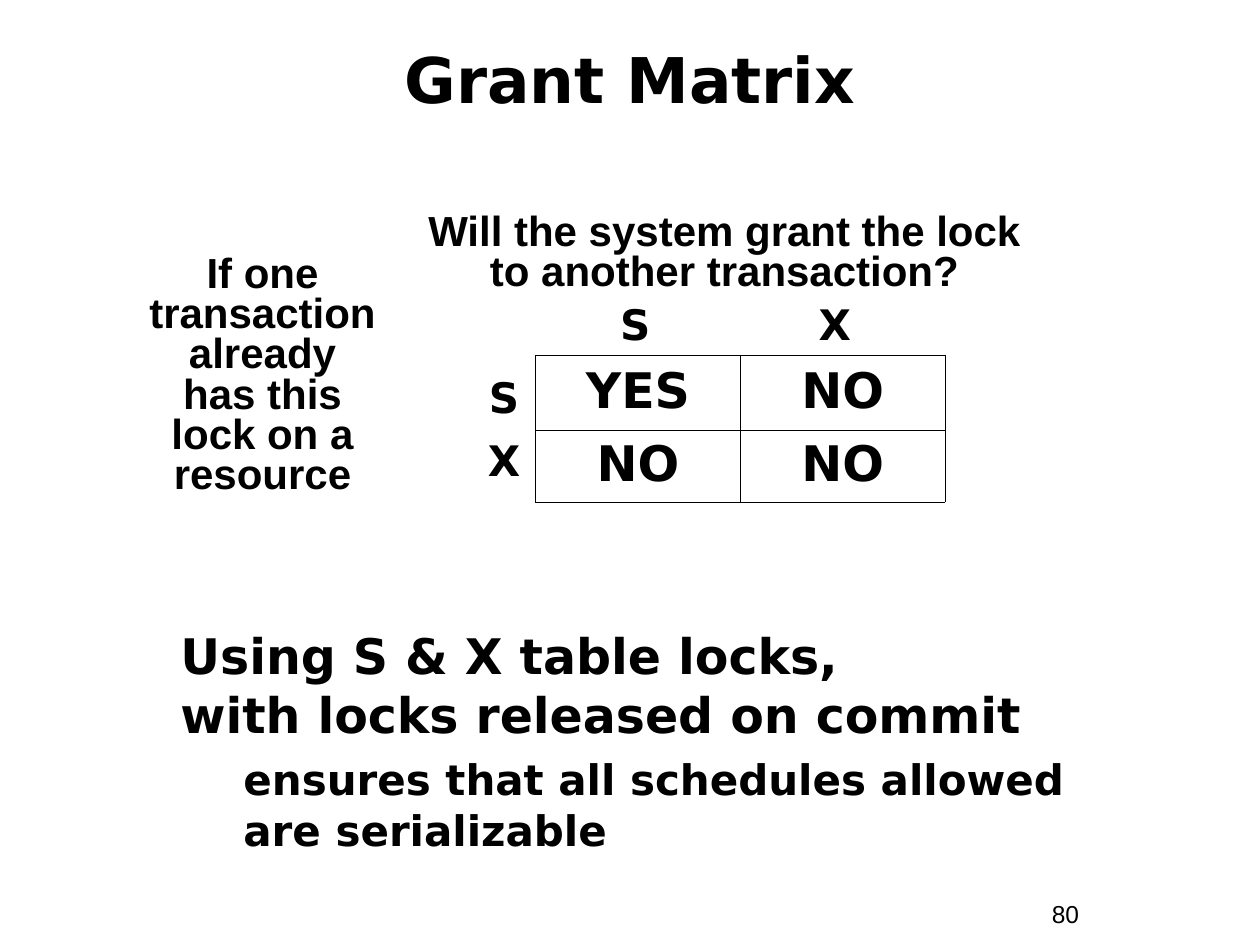
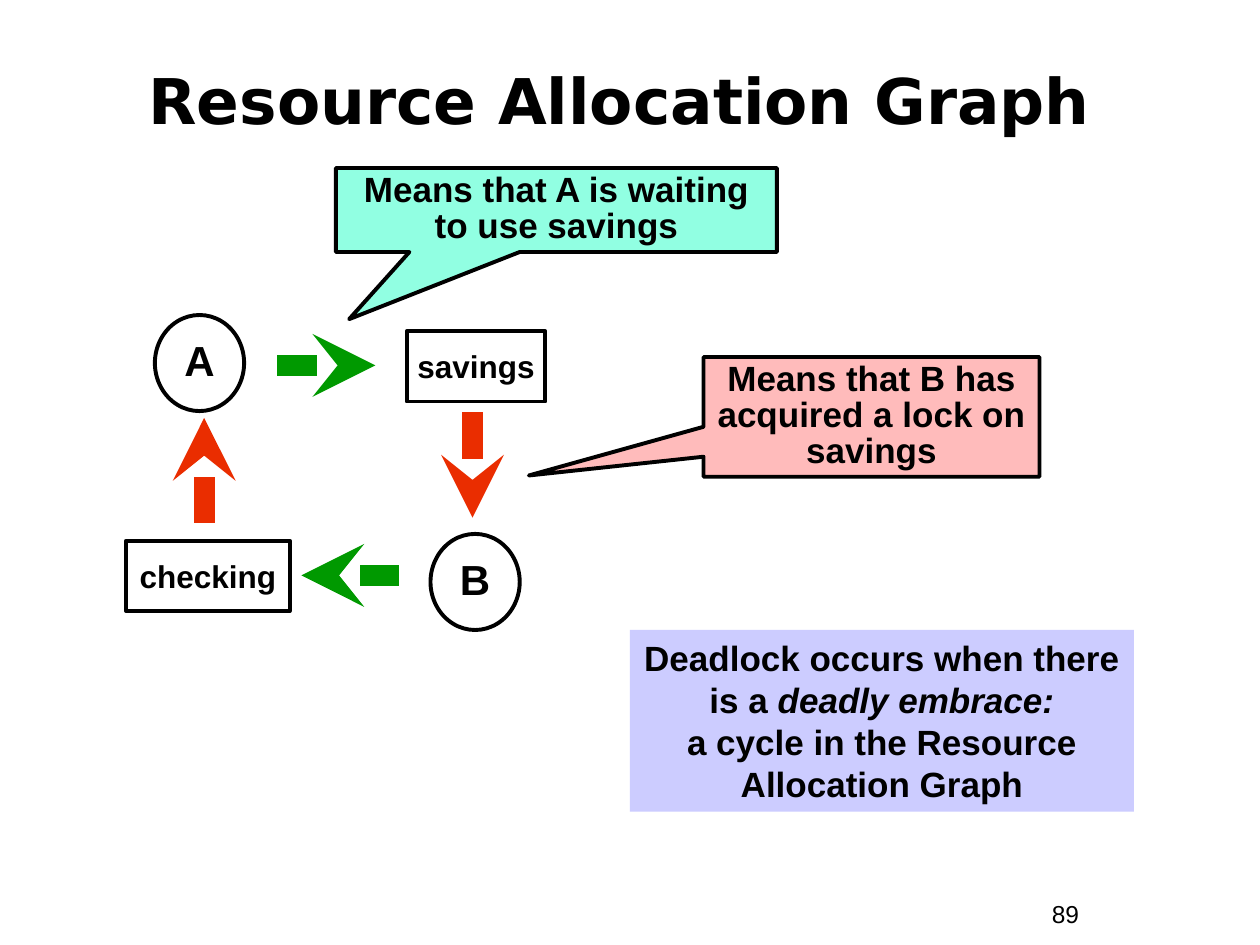
"""Build the lock grant matrix and resource allocation graph slides."""
from lxml import etree
from pptx import Presentation
from pptx import util as u
from pptx.dml.color import RGBColor
from pptx.enum import shapes, text
from pptx.oxml import ns

COLORS = {"ink": "000000", "wants": "009900", "holds": "EA2D00",
          "waiting": "91FFE2", "acquired": "FFBBBB", "summary": "CCCCFF"}
HEADING = {"name": "DejaVu Sans", "bold": True}
BODY = {"name": "Arial", "bold": True}
COLUMNS, ROWS = 120, 90
FIT = text.MSO_AUTO_SIZE.SHAPE_TO_FIT_TEXT
FIXED = text.MSO_AUTO_SIZE.NONE
MIDDLE, TOP = text.MSO_ANCHOR.MIDDLE, text.MSO_ANCHOR.TOP
CENTER, LEFT = text.PP_ALIGN.CENTER, text.PP_ALIGN.LEFT


def apply(target, values):
    """Set every attribute named in values on target."""
    for name, value in values.items():
        setattr(target, name, value)


class Deck:
    """Hold the shared style and the current slide."""

    def __init__(self):
        """Start an empty presentation with its grid."""
        self.file = Presentation()
        apply(self.file, {"slide_width": u.Inches(10), "slide_height": u.Inches(7.5)})
        self.column = self.file.slide_width / COLUMNS
        self.row = self.file.slide_height / ROWS

    def place(self, left, top, width, height):
        """Turn grid columns and rows into lengths."""
        return [round(n * unit) for n, unit in
                zip((left, top, width, height), (self.column, self.row) * 2)]

    def compose(self, paragraph, words, font, align=CENTER, spacing=1.0):
        """Fill a paragraph, with *stars* around italic words."""
        apply(paragraph, {"alignment": align, "line_spacing": spacing})
        for part, phrase in enumerate(words.split("*")):
            for number, line in enumerate(phrase.split("\n")):
                if number:
                    paragraph.add_line_break()
                if line:
                    run = paragraph.add_run()
                    run.text = line
                    apply(run.font, {**font, "italic": part % 2 == 1})
                    run.font.color.rgb = RGBColor.from_string(COLORS["ink"])

    def slide(self, title, number, box):
        """Add a slide with its title and page number."""
        self.current = self.file.slides.add_slide(self.file.slide_layouts[5])
        heading = self.current.shapes.title
        apply(heading, dict(zip(("left", "top", "width", "height"), self.place(*box))))
        apply(heading.text_frame, {"vertical_anchor": MIDDLE, "auto_size": FIXED,
                                   "word_wrap": True})
        self.compose(heading.text_frame.paragraphs[0], title,
                     {**HEADING, "size": u.Pt(36)})
        self.label(number, (99, 85, 11, 4.1), {"name": "Arial", "size": u.Pt(14)}, LEFT)

    def label(self, words, box, font, align=CENTER, spacing=1.0):
        """Add a text box and return its frame."""
        frame = self.current.shapes.add_textbox(*self.place(*box)).text_frame
        apply(frame, {"word_wrap": True, "auto_size": FIT})
        self.compose(frame.paragraphs[0], words, font, align, spacing)
        return frame

    def block(self, kind, words, box, size, fill=None, outlined=True, spacing=1.0,
              tip=None):
        """Add a preset shape; filled ones wrap text from the top."""
        shape = self.current.shapes.add_shape(kind, *self.place(*box))
        shape.shadow.inherit = False
        if fill:
            shape.fill.solid()
            shape.fill.fore_color.rgb = RGBColor.from_string(COLORS[fill])
        else:
            shape.fill.background()
        if outlined:
            shape.line.color.rgb = RGBColor.from_string(COLORS["ink"])
            shape.line.width = u.Pt(2.25)
        else:
            shape.line.fill.background()
        for index, value in enumerate(tip or ()):
            shape.adjustments[index] = value
        apply(shape.text_frame, {"word_wrap": bool(fill),
                                 "vertical_anchor": TOP if fill else MIDDLE,
                                 "auto_size": FIT if fill else FIXED})
        self.compose(shape.text_frame.paragraphs[0], words, {**BODY, "size": u.Pt(size)},
                     spacing=spacing)

    def arrow(self, start, end, color):
        """Add a thick stealth arrow between two grid points."""
        line = self.current.shapes.add_connector(
            shapes.MSO_CONNECTOR.STRAIGHT, *self.place(*start, *end))
        line.line.color.rgb = RGBColor.from_string(COLORS[color])
        line.line.width = u.Pt(12)
        etree.SubElement(line.line._get_or_add_ln(), ns.qn("a:tailEnd"), type="stealth")
        etree.SubElement(line._element.spPr, ns.qn("a:effectLst"))

    def border(self, cell):
        """Draw a thin line on all four sides of a cell."""
        properties = cell._tc.get_or_add_tcPr()
        for index, side in enumerate("LRTB"):
            edge = etree.Element(ns.qn(f"a:ln{side}"), w=str(u.Pt(0.45)))
            fill = etree.SubElement(edge, ns.qn("a:solidFill"))
            etree.SubElement(fill, ns.qn("a:srgbClr"), val=COLORS["ink"])
            properties.insert(index, edge)

    def matrix(self, answers, box, heights):
        """Add a plain ruled table of answers."""
        table = self.current.shapes.add_table(
            len(answers), len(answers[0]), *self.place(*box)).table
        apply(table, {"first_row": False, "horz_banding": False})
        for row, height, line in zip(table.rows, heights, answers):
            row.height = round(height * self.row)
            for cell, answer in zip(row.cells, line):
                cell.vertical_anchor = MIDDLE
                cell.fill.background()
                self.border(cell)
                self.compose(cell.text_frame.paragraphs[0], answer,
                             {**HEADING, "size": u.Pt(28)}, spacing=0.9)


def grant_matrix(deck):
    """Show which locks are granted together."""
    deck.slide("Grant Matrix", "80", (4, 4, 112, 7))
    deck.matrix([("YES", "NO"), ("NO", "NO")], (51, 33.8, 39, 14), (7.2, 6.8))
    question = {**BODY, "size": u.Pt(24)}
    deck.label("If one transaction already has this lock on a resource",
               (13, 23.8, 24, 24.2), question, spacing=0.8)
    deck.label("Will the system grant the lock to another transaction?",
               (39, 19.8, 60, 8.9), question, spacing=0.8)
    lock = {**HEADING, "size": u.Pt(24)}
    for index, mode in enumerate("SX"):
        deck.label(mode, (56 + 19 * index, 27.8, 9, 6), lock)
        deck.label(mode, (45, 34.8 + 6 * index, 6, 6), lock)
    conclusion = deck.label("Using S & X table locks,\nwith locks released on commit",
                            (16, 59, 92, 23), {**HEADING, "size": u.Pt(28)}, LEFT)
    effect = conclusion.add_paragraph()
    apply(effect, {"level": 1, "space_before": u.Pt(6)})
    properties = effect._p.get_or_add_pPr()
    properties.set("marL", str(u.Inches(0.5)))
    properties.set("indent", "0")
    deck.compose(effect, "ensures that all schedules allowed\nare serializable", lock, LEFT)


def allocation_graph(deck):
    """Show a deadlock as a cycle of transactions and resources."""
    kinds = shapes.MSO_SHAPE
    deck.slide("Resource Allocation Graph", "89", (3, 4, 112, 11))
    for transaction, left, top in (("A", 14.75, 30), ("B", 41, 50.85)):
        deck.block(kinds.OVAL, transaction, (left, top, 8.5, 9.15), 24, spacing=0.9)
    for resource, left, top, width in (("savings", 38.75, 31.55, 13.2),
                                       ("checking", 12, 51.5, 15.6)):
        deck.block(kinds.RECTANGLE, resource, (left, top, width, 6.7), 18)
    for start, end, color in (((26.4, 34.8), (35.75, 34.8), "wants"),
                              ((38, 54.8), (28.7, 54.8), "wants"),
                              ((19.45, 49.8), (19.45, 39.8), "holds"),
                              ((45, 39.25), (45, 49.3), "holds")):
        deck.arrow(start, end, color)
    deck.block(kinds.RECTANGLE, "Deadlock occurs when there is a *deadly embrace:\n*"
               "a cycle in the Resource Allocation Graph", (60, 60, 48, 17.3), 20,
               "summary", outlined=False)
    for meaning, box, fill, tip in (
            ("Means that A is waiting to use savings", (32, 16, 42, 8),
             "waiting", (-0.47, 1.3)),
            ("Means that B has acquired a lock on savings", (67, 34, 32, 11.4),
             "acquired", (-1.02, 0.49))):
        deck.block(kinds.RECTANGULAR_CALLOUT, meaning, box, 20, fill, spacing=0.85, tip=tip)


def main():
    """Build both slides and save them."""
    deck = Deck()
    grant_matrix(deck)
    allocation_graph(deck)
    deck.file.save("out.pptx")


if __name__ == "__main__":
    main()
